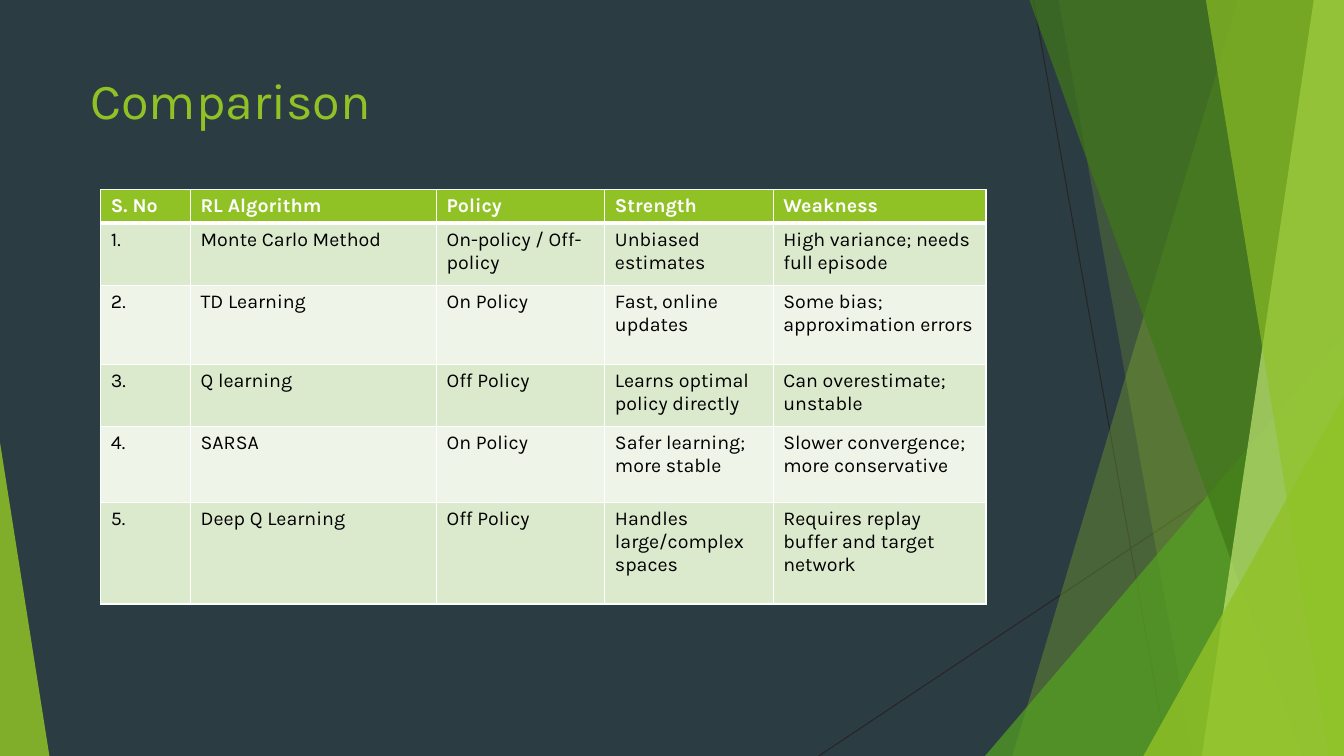
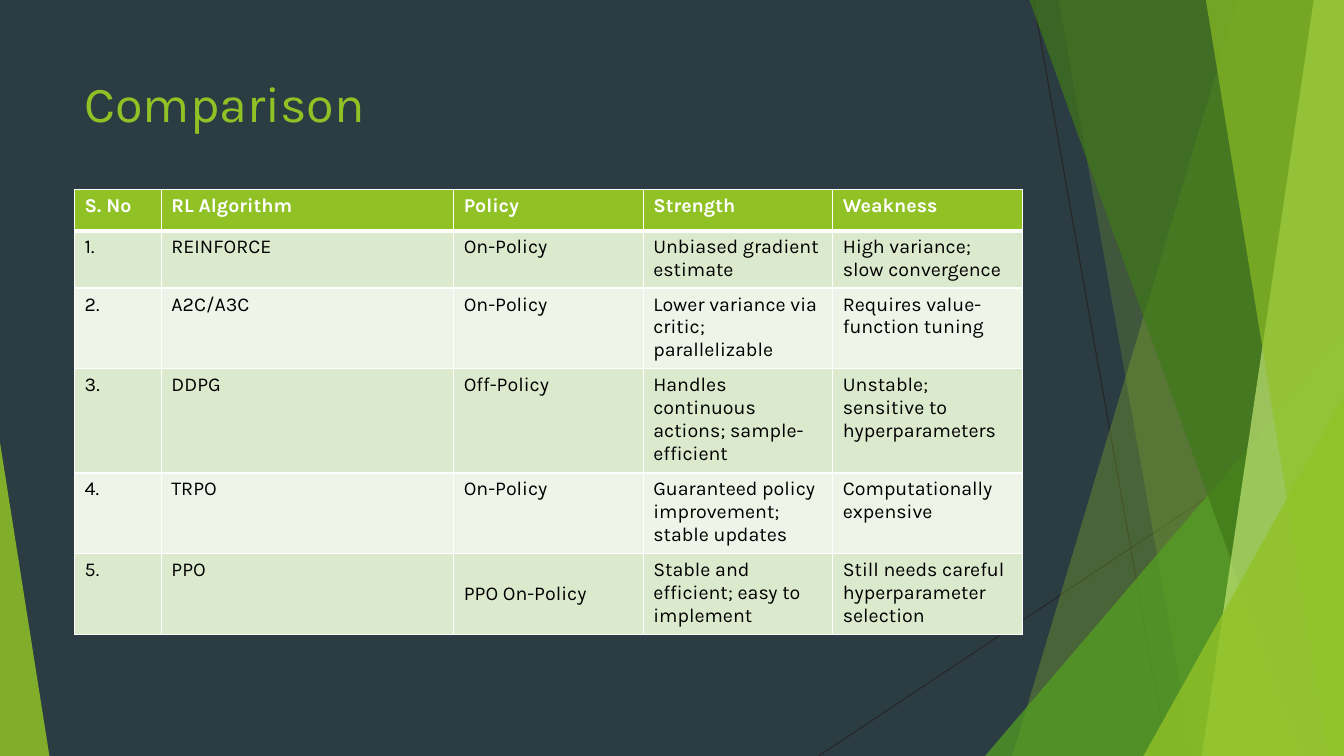
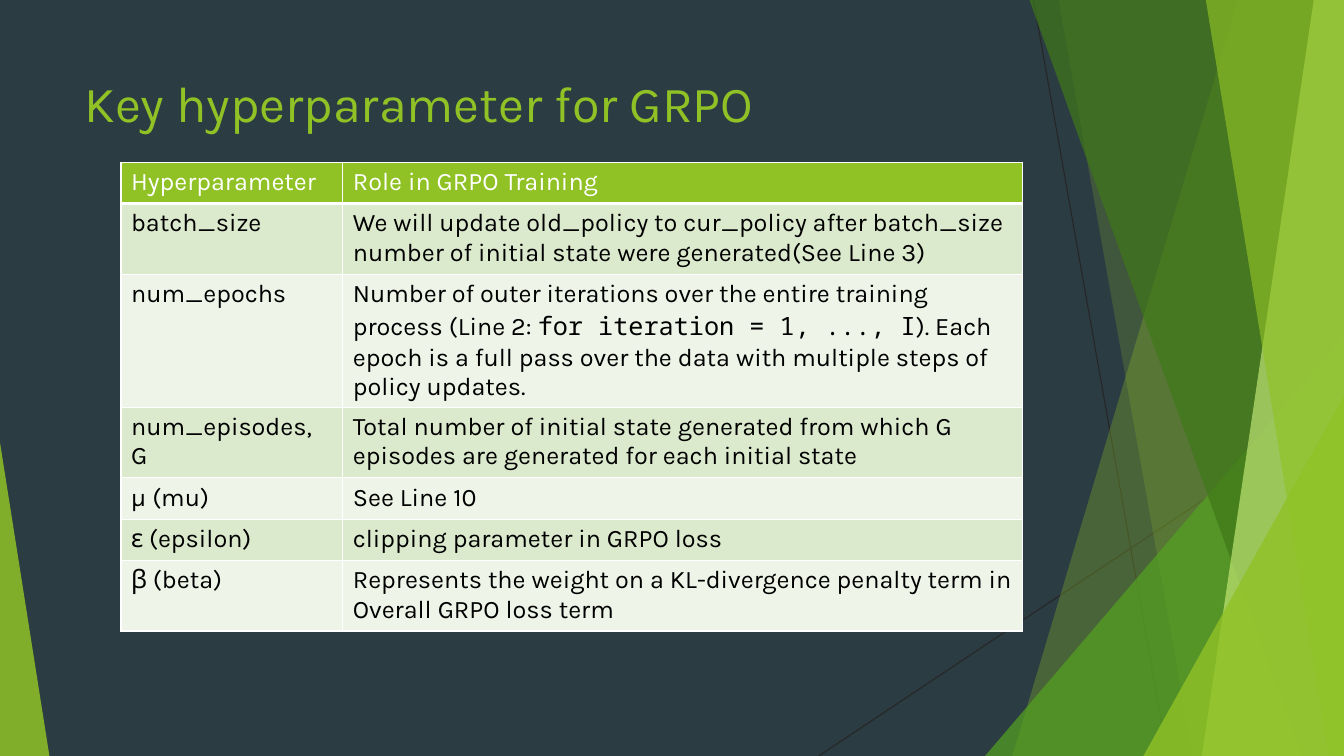
"""Build three slides of tables that compare reinforcement learning methods."""
from lxml.etree import SubElement
from pptx import Presentation
from pptx.dml.color import RGBColor
from pptx.enum.shapes import MSO_CONNECTOR as Connector, MSO_SHAPE as Shape
from pptx.enum.text import MSO_ANCHOR as Anchor
from pptx.oxml.ns import qn
from pptx.util import Inches, Pt

BACKGROUND = RGBColor(0x2C, 0x3C, 0x43)
LIME = RGBColor(0x90, 0xC2, 0x26)
GREEN = RGBColor(0x54, 0xA0, 0x21)
FOREST = RGBColor(0x3F, 0x78, 0x19)
PALE_LIME = RGBColor(0xC0, 0xE4, 0x74)
DARK_LINE = RGBColor(0x26, 0x26, 0x26)
ODD_ROW = RGBColor(0xDB, 0xE9, 0xCD)
EVEN_ROW = RGBColor(0xEE, 0xF4, 0xE8)
WHITE = RGBColor(0xFF, 0xFF, 0xFF)
BLACK = RGBColor(0, 0, 0)
FONT = "Karla"
CODE_FONT = "Noto Sans Mono"
WIDTH, HEIGHT = 13.33, 7.5


def write_text(paragraph, text, size=14, color=BLACK, bold=False, font=FONT):
    run = paragraph.add_run()
    run.text = text
    run.font.size = Pt(size)
    run.font.color.rgb = color
    run.font.bold = bold
    run.font.name = font


def set_border(cell, side, points):
    properties = cell._tc.get_or_add_tcPr()
    line = SubElement(properties, qn(f"a:ln{side}"), w=str(Pt(points)))
    fill = SubElement(line, qn("a:solidFill"))
    SubElement(fill, qn("a:srgbClr"), val=str(WHITE))


class Deck:
    def __init__(self):
        self.presentation = Presentation()
        self.presentation.slide_width = Inches(WIDTH)
        self.presentation.slide_height = Inches(HEIGHT)
        self.slide = None

    def add_slide(self, title, left=0.74, top=0.67):
        layout = self.presentation.slide_layouts[6]
        self.slide = self.presentation.slides.add_slide(layout)
        background = self.slide.background.fill
        background.solid()
        background.fore_color.rgb = BACKGROUND
        self.facets()
        self.title(title, left, top)

    def facets(self):
        self.line(10.25, 0, 11.58, HEIGHT)
        self.line(WIDTH, 4.03, 8.12, HEIGHT)
        self.band(12.28, 10.04, LIME, 30)
        self.band(10.5, 11.83, LIME, 20)
        self.triangle(9.77, 3.33, 3.56, 1, GREEN, 72)
        self.band(10.21, 12.91, FOREST, 70)
        self.band(13.03, 11.92, PALE_LIME, 70)
        self.band(11.96, 13.18, LIME, 65)
        self.triangle(11.34, 3.93, 1.99, 1, LIME, 80)
        self.triangle(0, 4.39, 0.49, 0, LIME, 85)

    def line(self, *ends):
        connector = self.slide.shapes.add_connector(
            Connector.STRAIGHT, *[Inches(value) for value in ends])
        connector.line.color.rgb = DARK_LINE
        connector.line.width = Pt(0.75)
        SubElement(connector._element.spPr, qn("a:effectLst"))

    def band(self, top_x, bottom_x, color, opacity):
        corners = [(top_x, 0), (WIDTH, 0), (WIDTH, HEIGHT), (bottom_x, HEIGHT)]
        points = [(Inches(x), Inches(y)) for x, y in corners]
        builder = self.slide.shapes.build_freeform(*points[0])
        builder.add_line_segments(points[1:], close=True)
        self.paint(builder.convert_to_shape(), color, opacity)

    def triangle(self, left, top, width, apex, color, opacity):
        shape = self.slide.shapes.add_shape(
            Shape.ISOSCELES_TRIANGLE, Inches(left), Inches(top),
            Inches(width), Inches(HEIGHT - top))
        shape.adjustments[0] = apex
        self.paint(shape, color, opacity)

    def paint(self, shape, color, opacity):
        shape.shadow.inherit = False
        shape.line.fill.background()
        shape.fill.solid()
        shape.fill.fore_color.rgb = color
        color_element = shape._element.spPr.find(qn("a:solidFill"))[0]
        SubElement(color_element, qn("a:alpha"), val=str(opacity * 1000))

    def title(self, text, left, top):
        box = self.slide.shapes.add_textbox(
            Inches(left), Inches(top), Inches(9.4), Inches(1.44))
        box.text_frame.word_wrap = True
        write_text(box.text_frame.paragraphs[0], text, size=36, color=LIME)

    def table(self, left, top, widths, heights, rows, size=14, bold_header=True):
        table = self.slide.shapes.add_table(
            len(rows), len(widths), Inches(left), Inches(top),
            Inches(sum(widths)), Inches(sum(heights))).table
        for column, width in zip(table.columns, widths):
            column.width = Inches(width)
        for row, height in zip(table.rows, heights):
            row.height = Inches(height)
        for row_index, row in enumerate(rows):
            for column_index, content in enumerate(row):
                cell = table.cell(row_index, column_index)
                self.cell(cell, row_index, content, size, bold_header)
        return table

    def cell(self, cell, row_index, content, size, bold_header):
        header = row_index == 0
        set_border(cell, "L", 1)
        set_border(cell, "R", 1)
        set_border(cell, "T", 3 if row_index == 1 else 1)
        set_border(cell, "B", 3 if header else 1)
        cell.fill.solid()
        cell.fill.fore_color.rgb = (
            LIME if header else ODD_ROW if row_index % 2 else EVEN_ROW)
        pieces = [(content, FONT)] if isinstance(content, str) else content
        for text, font in pieces:
            write_text(cell.text_frame.paragraphs[0], text, size=size, font=font,
                       color=WHITE if header else BLACK,
                       bold=header and bold_header)


ALGORITHM_HEADER = ("S. No", "RL Algorithm", "Policy", "Strength", "Weakness")
VALUE_METHODS = [
    ALGORITHM_HEADER,
    ("1.", "Monte Carlo Method", "On-policy / Off-policy",
     "Unbiased estimates", "High variance; needs full episode"),
    ("2.", "TD Learning", "On Policy",
     "Fast, online updates", "Some bias; approximation errors"),
    ("3.", "Q learning", "Off Policy",
     "Learns optimal policy directly", "Can overestimate; unstable"),
    ("4.", "SARSA", "On Policy",
     "Safer learning; more stable", "Slower convergence; more conservative"),
    ("5.", "Deep Q Learning", "Off Policy",
     "Handles large/complex spaces", "Requires replay buffer and target network"),
]
POLICY_METHODS = [
    ALGORITHM_HEADER,
    ("1.", "REINFORCE", "On-Policy",
     "Unbiased gradient estimate", "High variance; slow convergence"),
    ("2.", "A2C/A3C", "On-Policy",
     "Lower variance via critic; parallelizable", "Requires value-function tuning"),
    ("3.", "DDPG", "Off-Policy",
     "Handles continuous actions; sample-efficient",
     "Unstable; sensitive to hyperparameters"),
    ("4.", "TRPO", "On-Policy",
     "Guaranteed policy improvement; stable updates", "Computationally expensive"),
    ("5.", "PPO", "PPO On-Policy",
     "Stable and efficient; easy to implement",
     "Still needs careful hyperparameter selection"),
]
HYPERPARAMETERS = [
    ("Hyperparameter", "Role in GRPO Training"),
    ("batch_size", "We will update old_policy to cur_policy after batch_size "
     "number of initial state were generated(See Line 3)"),
    ("num_epochs", [
        ("Number of outer iterations over the entire training process (Line 2: ", FONT),
        ("for iteration = 1, ..., I", CODE_FONT),
        ("). Each epoch is a full pass over the data with multiple steps of "
         "policy updates.", FONT)]),
    ("num_episodes, G", "Total number of initial state generated from which G "
     "episodes are generated for each initial state"),
    ("μ (mu)", "See Line 10"),
    ("ε (epsilon)", "clipping parameter in GRPO loss"),
    ("β (beta)", "Represents the weight on a KL-divergence penalty term "
     "in Overall GRPO loss term"),
]


def main():
    deck = Deck()
    deck.add_slide("Comparison", left=0.8, top=0.64)
    deck.table(1, 1.88, [0.89, 2.44, 1.67, 1.67, 2.11],
               [0.33, 0.62, 0.78, 0.62, 0.75, 1.01], VALUE_METHODS)

    deck.add_slide("Comparison")
    table = deck.table(0.74, 1.88, [0.86, 2.9, 1.88, 1.88, 1.88],
                       [0.41, 0.55, 0.78, 1.01, 0.78, 0.78], POLICY_METHODS)
    table.cell(5, 2).vertical_anchor = Anchor.MIDDLE

    deck.add_slide("Key hyperparameter for GRPO")
    deck.table(1.2, 1.61, [2.2, 6.74],
               [0.41, 0.69, 1.32, 0.69, 0.41, 0.41, 0.69], HYPERPARAMETERS,
               size=18, bold_header=False)
    deck.presentation.save("out.pptx")


if __name__ == "__main__":
    main()
